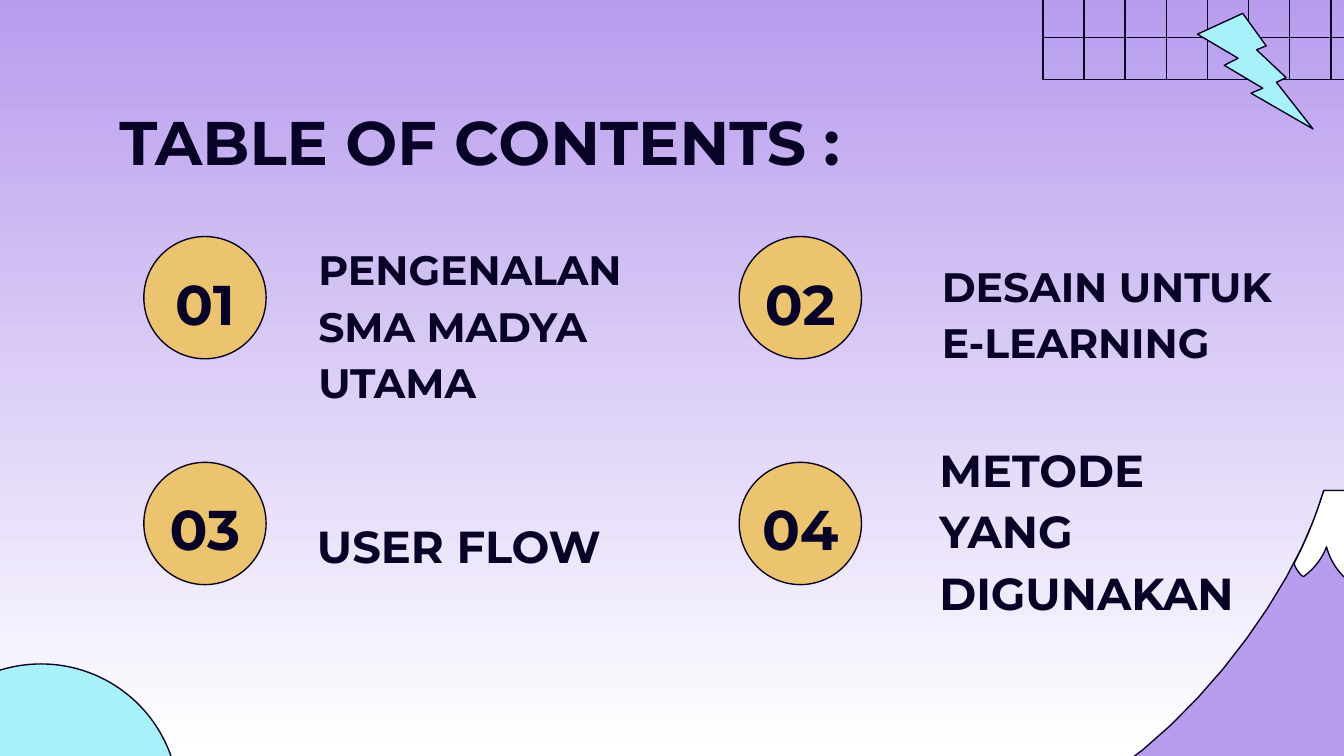
from typing import NamedTuple

from lxml.etree import SubElement
from pptx import Presentation
from pptx.dml.color import RGBColor
from pptx.enum.shapes import MSO_CONNECTOR, MSO_SHAPE
from pptx.enum.text import MSO_ANCHOR, PP_ALIGN
from pptx.oxml.ns import qn
from pptx.util import Inches, Pt

INK, PURPLE, WHITE = "080326", "B89DEE", "FFFFFF"
AQUA, GOLD = "A9F1F9", "ECC36F"
FONT = "Montserrat"
CURVE_STEPS = 12

Point = tuple[float, float]
Curve = tuple[Point, Point, Point]  # two control points, then the end


class Box(NamedTuple):
    x: float
    y: float
    w: float
    h: float


class Topic(NamedTuple):
    number: str
    column: int
    row: int
    lines: list[str]
    size: int
    box: Box


CIRCLE_X, CIRCLE_Y, CIRCLE_SIZE = (1.07, 5.5), (1.76, 3.44), 0.91
TOPICS = [
    Topic("01", 0, 0, ["PENGENALAN SMA MADYA UTAMA"], 22, Box(2.27, 1.67, 2.72, 1.46)),
    Topic("02", 1, 0, ["DESAIN UNTUK", "E-LEARNING"], 22, Box(6.91, 1.92, 2.72, 0.91)),
    Topic("03", 0, 1, ["USER FLOW"], 24, Box(2.26, 3.73, 2.72, 0.63)),
    Topic("04", 1, 1, ["METODE YANG DIGUNAKAN"], 24, Box(6.89, 3.62, 2.72, 1.09)),
]

SUMMIT_LEFT, SUMMIT_RIGHT = (9.85, 3.65), (10.19, 3.65)
PEAK_X = 10.02
RIGHT_SLOPE: Curve = ((10.3, 4.04), (10.57, 4.52), (10.92, 4.95))
LEFT_SLOPE: Curve = ((8.74, 5.62), (9.63, 4.44), SUMMIT_LEFT)
SNOW_RIGHT: list[Curve] = [
    ((10.24, 3.81), (10.31, 4), (10.41, 4.19)),
    ((10.41, 4.22), (10.36, 4.29), (10.34, 4.29)),
    ((10.34, 4.29), (10.22, 4.21), (10.17, 4.07)),
    ((10.14, 4.18), (10.08, 4.26), (PEAK_X, 4.31)),
]


def color(hex_code: str) -> RGBColor:
    return RGBColor.from_string(hex_code)


def style(sp, fill: str) -> None:
    sp.shadow.inherit = False
    sp.fill.solid()
    sp.fill.fore_color.rgb = color(fill)
    sp.line.color.rgb = color(INK)
    sp.line.width = Pt(0.75)


def add_shape(s, kind: MSO_SHAPE, box: Box, fill: str):
    sp = s.shapes.add_shape(kind, *map(Inches, box))
    style(sp, fill)
    return sp


def add_line(s, start: Point, end: Point) -> None:
    line = s.shapes.add_connector(MSO_CONNECTOR.STRAIGHT, *map(Inches, start + end))
    line.line.color.rgb = color(INK)
    line.line.width = Pt(0.75)
    SubElement(line._element.spPr, qn("a:effectLst"))


def add_text(s, box: Box, lines: list[str], size: int,
             anchor=MSO_ANCHOR.BOTTOM, align=PP_ALIGN.LEFT) -> None:
    tf = s.shapes.add_textbox(*map(Inches, box)).text_frame
    tf.word_wrap = True
    tf.vertical_anchor = anchor
    tf.margin_left = tf.margin_right = tf.margin_top = tf.margin_bottom = Inches(0.1)
    tf.text = "\n".join(lines)
    for p in tf.paragraphs:
        p.alignment = align
        p.line_spacing = 1.15
        p.font.name = FONT
        p.font.size = Pt(size)
        p.font.bold = True
        p.font.color.rgb = color(INK)


def trace(start: Point, curves: list[Curve]) -> list[Point]:
    """Sample a chain of cubic Bezier curves, start included."""
    points = [start]
    for c1, c2, end in curves:
        p0 = points[-1]
        for step in range(1, CURVE_STEPS + 1):
            t = step / CURVE_STEPS
            u = 1 - t
            points.append(tuple(
                u**3 * a + 3 * u * u * t * b + 3 * u * t * t * c + t**3 * d
                for a, b, c, d in zip(p0, c1, c2, end)))
    return points


def add_outline(s, points: list[Point], fill: str) -> None:
    emu = [(Inches(x), Inches(y)) for x, y in points]
    builder = s.shapes.build_freeform(*emu[0])
    builder.add_line_segments(emu[1:], close=True)
    style(builder.convert_to_shape(), fill)


def add_mountain(s) -> None:
    right = trace(SUMMIT_RIGHT, [RIGHT_SLOPE])
    left = trace((7.84, 5.99), [LEFT_SLOPE])
    add_outline(s, right + [(10.92, 6.64), (7.84, 6.64)] + left, PURPLE)
    snow = trace(SUMMIT_RIGHT, SNOW_RIGHT)
    mirrored = [(2 * PEAK_X - x, y) for x, y in reversed(snow[:-1])]
    add_outline(s, snow + mirrored, WHITE)


def add_grid(s) -> None:
    for i in range(8):
        x = 7.76 + i * 0.306
        add_line(s, (x, -2.46), (x, 0.59))
    for y in (0.59, 0.28):
        add_line(s, (7.75, y), (10.82, y))


def add_topic(s, topic: Topic) -> None:
    x, y = CIRCLE_X[topic.column], CIRCLE_Y[topic.row]
    add_shape(s, MSO_SHAPE.OVAL, Box(x, y, CIRCLE_SIZE, CIRCLE_SIZE), GOLD)
    add_text(s, Box(x + 0.055, y + 0.18, 0.8, 0.55), [topic.number], 30,
             MSO_ANCHOR.MIDDLE, PP_ALIGN.CENTER)
    add_text(s, topic.box, topic.lines, topic.size)


def set_background(s) -> None:
    fill = s.background.fill
    fill.gradient()
    fill.gradient_angle = 270
    for stop, position, code in zip(fill.gradient_stops, (0, 1), (PURPLE, WHITE)):
        stop.position = position
        stop.color.rgb = color(code)


def main() -> None:
    prs = Presentation()
    prs.slide_width, prs.slide_height = Inches(10), Inches(5.625)
    s = prs.slides.add_slide(prs.slide_layouts[6])
    set_background(s)
    add_mountain(s)
    add_grid(s)
    half_disc = add_shape(s, MSO_SHAPE.PIE, Box(-0.72, 4.94, 2.05, 2.05), AQUA)
    half_disc.adjustments[0] = 108  # 180 degrees, in units of 100000/60000
    half_disc.adjustments[1] = 0
    add_text(s, Box(0.79, 0.59, 8.43, 0.63), ["TABLE OF CONTENTS :"], 33, MSO_ANCHOR.TOP)
    for topic in TOPICS:
        add_topic(s, topic)
    add_shape(s, MSO_SHAPE.LIGHTNING_BOLT, Box(8.91, 0.1, 0.86, 0.86), AQUA)
    prs.save("out.pptx")


if __name__ == "__main__":
    main()
